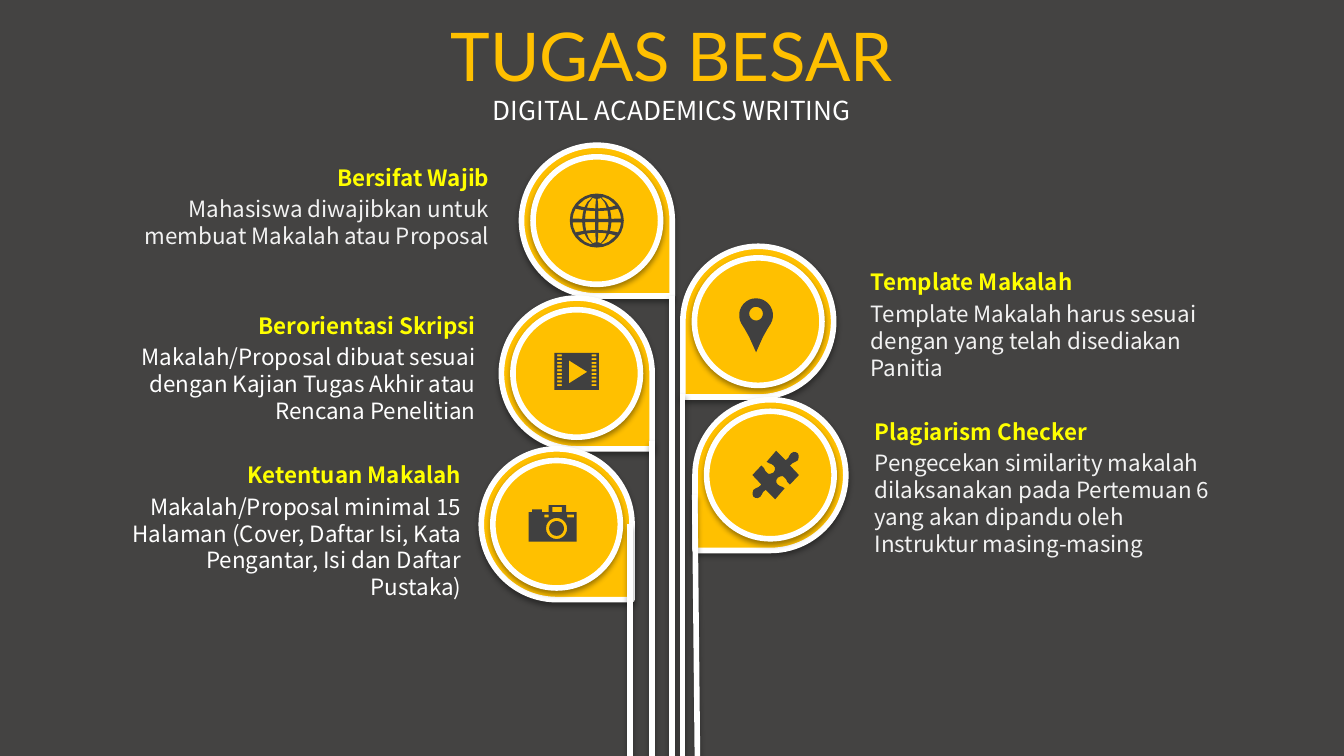
from math import cos, sin, radians, sqrt
from lxml import etree
from pptx import Presentation
from pptx.dml.color import RGBColor
from pptx.enum import shapes, text
from pptx.oxml import ns
from pptx.util import Cm, Pt

WIDE, HIGH = 25.4, 14.29
GOLD, WHITE, DARK, LEMON, PALE = "FFC000", "FFFFFF", "404040", "FFFF00", "F2F2F2"
SANS = "Noto Sans CJK JP"


def color(code):
    return RGBColor.from_string(code)


def shade(shape, alpha, dist):
    props = shape._element.spPr
    for old in props.findall(ns.qn("a:effectLst")):
        props.remove(old)
    effects = etree.SubElement(props, ns.qn("a:effectLst"))
    outer = etree.SubElement(effects, ns.qn("a:outerShdw"), blurRad=str(Pt(3.1)),
                             dist=str(Pt(dist)), dir="5400000", rotWithShape="0")
    tint = etree.SubElement(outer, ns.qn("a:srgbClr"), val="000000")
    etree.SubElement(tint, ns.qn("a:alpha"), val=str(alpha * 1000))


def write(frame, words, size, font, code, align, bold=False):
    para = frame.paragraphs[0]
    para.alignment = align
    para.space_before = Pt(0)
    run = para.add_run()
    run.text = words
    run.font.size = Pt(size)
    run.font.name = font
    run.font.bold = bold
    run.font.color.rgb = color(code)
    return para


def banner(holder, top, height, words, size, font, code):
    holder.left, holder.top = Cm(0), Cm(top)
    holder.width, holder.height = Cm(WIDE), Cm(height)
    frame = holder.text_frame
    frame.auto_size = text.MSO_AUTO_SIZE.NONE
    frame.vertical_anchor = text.MSO_ANCHOR.MIDDLE
    write(frame, words, size, font, code, text.PP_ALIGN.CENTER)


def label(slide, left, top, height, words, code, align, bold=False):
    box = slide.shapes.add_textbox(Cm(left), Cm(top), Cm(7.06), Cm(height))
    frame = box.text_frame
    frame.word_wrap = True
    frame.auto_size = text.MSO_AUTO_SIZE.SHAPE_TO_FIT_TEXT
    para = write(frame, words, 12, SANS, code, align, bold)
    para.line_spacing = Pt(14.4)


def disc(slide, kind, x, y, size, turn=0):
    shape = slide.shapes.add_shape(kind, Cm(x - size / 2), Cm(y - size / 2), Cm(size), Cm(size))
    shape.rotation = turn
    shape.fill.solid()
    shape.fill.fore_color.rgb = color(GOLD)
    shape.line.color.rgb = color(WHITE)
    shape.line.width = Pt(3)
    shade(shape, 38, 1.6)


def leaf(slide, x, y, turn):
    disc(slide, shapes.MSO_SHAPE.TEAR, x, y, 2.85, turn)
    disc(slide, shapes.MSO_SHAPE.OVAL, x, y, 2.41)


def stem(slide, x, y, foot):
    line = slide.shapes.add_connector(shapes.MSO_CONNECTOR.STRAIGHT, Cm(x), Cm(y), Cm(foot), Cm(HIGH))
    line.line.color.rgb = color(WHITE)
    line.line.width = Pt(3)
    shade(line, 35, 1.8)


def icon(slide, x, y, loops):
    def place(loop):
        return [(Cm(x + dx), Cm(y + dy)) for dx, dy in loop]

    first, *rest = [place(loop) for loop in loops]
    pen = slide.shapes.build_freeform(*first[0])
    pen.add_line_segments(first[1:])
    for loop in rest:
        pen.move_to(*loop[0])
        pen.add_line_segments(loop[1:])
    shape = pen.convert_to_shape()
    shape.shadow.inherit = False
    shape.fill.solid()
    shape.fill.fore_color.rgb = color(DARK)
    shape.line.fill.background()


def arc(x, y, r, start=0, end=360, count=20):
    steps = [start + (end - start) * i / count for i in range(count + 1)]
    return [(x + r * cos(radians(a)), y + r * sin(radians(a))) for a in steps]


def block(left, top, right, low):
    return [(left, top), (right, top), (right, low), (left, low)]


def curve(a, b, c, d):
    def mix(t, i):
        s = 1 - t
        return s**3 * a[i] + 3 * s * s * t * b[i] + 3 * s * t * t * c[i] + t**3 * d[i]
    return [(mix(n / 3, 0), mix(n / 3, 1)) for n in range(1, 4)]


def globe():
    rim = 0.46

    def spot(k, t):
        y = min(t * (1 + k * k / 4), 0.44)
        return k * sqrt(rim * rim - y * y), y

    loops = [arc(0, 0, 0.51, count=28)]
    for k, m in [(0.07, 0.48), (0.6, 1)]:
        for t, u in [(0.03, 0.18), (0.23, 0.41)]:
            mid, half = (k + m) / 2, (t + u) / 2
            cell = [spot(*pair) for pair in [(k, t), (mid, t), (m, t), (m, half),
                                             (m, u), (mid, u), (k, u), (k, half)]]
            loops += [[(sx * x, sy * y) for x, y in cell] for sx in (1, -1) for sy in (1, -1)]
    return loops


def film():
    loops = [block(-0.42, -0.39, 0.42, 0.31), [(-0.15, -0.25), (0.2, -0.03), (-0.15, 0.19)]]
    for row in range(9):
        top = -0.36 + 0.07 * row
        loops += [block(left, top, left + 0.09, top + 0.04) for left in (-0.37, 0.28)]
    return loops


def camera():
    case = [(-0.53, -0.23), (-0.46, -0.23), (-0.46, -0.28), (-0.28, -0.28), (-0.28, -0.23),
            (-0.15, -0.23), (-0.15, -0.36), (0.18, -0.36), (0.18, -0.23), (0.38, -0.23),
            (0.38, 0.33), (-0.53, 0.33)]
    return [case, block(-0.08, -0.33, 0.1, -0.23), block(-0.23, -0.18, -0.15, -0.13),
            block(0.2, -0.18, 0.33, -0.13), arc(0, 0.08, 0.2), arc(0, 0.08, 0.14)]


def pin():
    side = [(0.18, 0.13), (0.09, 0.29)]
    tail = side + [(-0.04, 0.58)] + [(-0.08 - x, y) for x, y in side[::-1]]
    return [arc(-0.04, -0.12, 0.32, 150, 390) + tail, arc(-0.04, -0.15, 0.13)]


def puzzle():
    parts = [[(0.44, -0.38), (0.44, -0.33), (0.42, -0.28)],
             [(0.37, -0.23), (0.32, -0.25), (0.27, -0.18)],
             [(0.44, 0)], [(0.27, 0.18)],
             [(0.19, 0.13), (0.22, 0.08), (0.17, 0.05)],
             [(0.14, 0), (0.09, 0.02), (0.04, 0.05)],
             [(0.01, 0.08), (-0.01, 0.15), (0.04, 0.18)],
             [(0.09, 0.23), (0.11, 0.2), (0.17, 0.25)],
             [(-0.01, 0.46)], [(-0.19, 0.28)],
             [(-0.27, 0.33), (-0.24, 0.36), (-0.29, 0.41)],
             [(-0.34, 0.46), (-0.39, 0.43), (-0.42, 0.41)]]
    half = [(0.42, -0.41)]
    for part in parts:
        half += curve(half[-1], *part) if len(part) == 3 else part
    whole = half + [(-x, -y) for x, y in half]
    return [[(x + 0.1, y) for x, y in whole]]


def main():
    deck = Presentation()
    deck.slide_width, deck.slide_height = Cm(WIDE), Cm(HIGH)
    slide = deck.slides.add_slide(deck.slide_layouts[0])
    slide.background.fill.solid()
    slide.background.fill.fore_color.rgb = color("444342")
    banner(slide.shapes.title, 0.23, 1.6, "TUGAS BESAR", 36, "Lato", GOLD)
    banner(slide.placeholders[1], 1.68, 0.79, "DIGITAL ACADEMICS WRITING", 14, SANS, WHITE)

    left, right = text.PP_ALIGN.LEFT, text.PP_ALIGN.RIGHT
    items = [
        (11.28, 4.17, globe, 2.44, 2.97, 1.8, right, PALE, "Bersifat Wajib",
         "Mahasiswa diwajibkan untuk membuat Makalah atau Proposal"),
        (10.9, 7.06, film, 2.18, 5.77, 1.8, right, WHITE, "Berorientasi Skripsi",
         "Makalah/Proposal dibuat sesuai dengan Kajian Tugas Akhir atau Rencana Penelitian"),
        (10.52, 9.91, camera, 1.91, 8.59, 2.31, right, WHITE, "Ketentuan Makalah",
         "Makalah/Proposal minimal 15 Halaman (Cover, Daftar Isi, Kata Pengantar, Isi dan Daftar Pustaka)"),
        (14.33, 6.08, pin, 16.21, 4.95, 1.8, left, PALE, "Template Makalah",
         "Template Makalah harus sesuai dengan yang telah disediakan Panitia"),
        (14.56, 8.98, puzzle, 16.28, 7.77, 2.31, left, PALE, "Plagiarism Checker",
         "Pengecekan similarity makalah dilaksanakan pada Pertemuan 6 yang akan dipandu oleh "
         "Instruktur masing-masing"),
    ]
    for x, y, draw, edge, top, height, align, code, head, body in items:
        leaf(slide, x, y, 90 if align == right else 180)
        icon(slide, x, y, draw())
        label(slide, edge, top + 0.6, height, body, code, align)
        label(slide, edge, top, 0.76, head, LEMON, align, True)

    for x, y, foot in [(12.7, 5.59, 12.7), (11.91, 9.91, 11.91), (12.9, 7.44, 12.9),
                       (13.13, 9.35, 13.18), (12.32, 8.33, 12.32)]:
        stem(slide, x, y, foot)
    deck.save("out.pptx")


if __name__ == "__main__":
    main()
